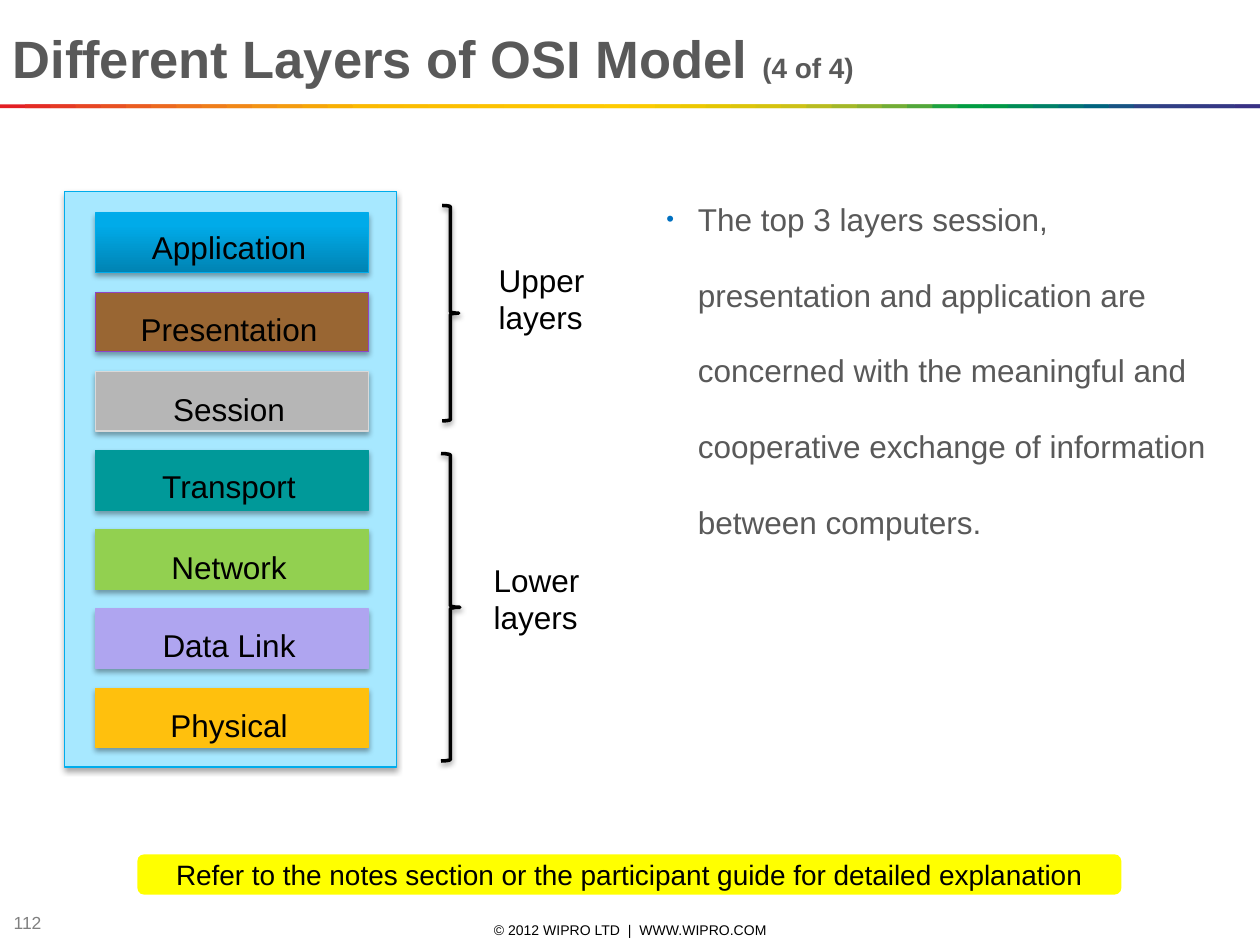
from dataclasses import dataclass

from lxml.etree import SubElement
from pptx import Presentation
from pptx.dml.color import RGBColor
from pptx.enum.shapes import MSO_SHAPE as Shape
from pptx.enum.text import MSO_ANCHOR as Anchor, MSO_AUTO_SIZE as AutoSize, PP_ALIGN as Align
from pptx.oxml.ns import qn
from pptx.util import Pt

FONT = "Arial"
BLACK, DARK_GREY, GREY = "000000", "595959", "808080"
SLIDE_W, SLIDE_H = 720, 540

RAINBOW = """
E31E24 E42C24 E53A24 E74623 E85122 EA5D21 EC691F EE741D EF7E1A F18817
F39314 F49C0F F6A607 F8B002 FBBA00 FBBB00 FBBD00 FCBF00 FCC000 FCC200
FDC400 FDC600 FDC700 FEC900 FECB00 FBCB00 F3CA00 ECC800 E4C602 DCC50A
D5C30E CCC117 B8BC21 A3B829 8CB230 71AD36 51A73B 1DA240 009D43 009846
008C57 008068 007275 00637F 185384 2E4285 313E85 333B85 353885 393185
""".split()


@dataclass
class Box:
    left: float
    top: float
    width: float
    height: float

    def lengths(self) -> tuple:
        return Pt(self.left), Pt(self.top), Pt(self.width), Pt(self.height)


@dataclass
class Layer:
    name: str
    fill: str
    line: str
    text_drop: float  # from the top of the bar to the top of its label


@dataclass
class LayerGroup:
    name: str
    brace: Box
    label: Box


LAYERS = [
    Layer("Application", "00ABE9", "00ACEB", 5),
    Layer("Presentation", "996633", "8F45C7", 6.5),
    Layer("Session", "B6B6B6", "D9D9D9", 7),
    Layer("Transport", "009999", "009999", 6),
    Layer("Network", "92D050", "92D050", 7),
    Layer("Data Link", "AFA5F0", "AFA5F0", 6),
    Layer("Physical", "FFC00D", "FFC00D", 6.5),
]
BAR = Box(54.5, 121.75, 156, 34)
BAR_PITCH = 45.25

GROUPS = [
    LayerGroup("Upper\nlayers", Box(252.7, 117.4, 9.4, 123.1), Box(277.9, 145.4, 67.7, 51.1)),
    LayerGroup("Lower\nlayers", Box(252, 259.2, 10.8, 175.7), Box(275, 316.8, 67.7, 51.1)),
]


def rgb(color: str) -> RGBColor:
    return RGBColor.from_string(color)


def style_font(font, size: float, color: str, bold: bool = False) -> None:
    font.name, font.size, font.bold = FONT, Pt(size), bold
    font.color.rgb = rgb(color)


def write(tf, text: str, size: float, color: str = BLACK, align=Align.LEFT, anchor=Anchor.TOP) -> None:
    tf.word_wrap = True
    tf.vertical_anchor = anchor
    tf.text = text
    for p in tf.paragraphs:
        p.alignment = align
        for r in p.runs:
            style_font(r.font, size, color)


def add_text(slide, box: Box, text: str, size: float, **style):
    sp = slide.shapes.add_textbox(*box.lengths())
    write(sp.text_frame, text, size, **style)
    return sp


def add_shape(slide, kind, box: Box, fill: str = "", line: str = "", weight: float = 0.75):
    sp = slide.shapes.add_shape(kind, *box.lengths())
    sp.shadow.inherit = False
    if fill:
        sp.fill.solid()
        sp.fill.fore_color.rgb = rgb(fill)
    else:
        sp.fill.background()
    if line:
        sp.line.color.rgb = rgb(line)
        sp.line.width = Pt(weight)
    else:
        sp.line.fill.background()
    return sp


def add_shadow(sp, distance: float = 1.8, opacity: int = 35) -> None:
    """Drop a soft black shadow straight down."""
    effects = sp._element.spPr.find(qn("a:effectLst"))
    shadow = SubElement(effects, qn("a:outerShdw"), blurRad=str(Pt(3.1)),
                        dist=str(Pt(distance)), dir="5400000", rotWithShape="0")
    color = SubElement(shadow, qn("a:srgbClr"), val=BLACK)
    SubElement(color, qn("a:alpha"), val=str(opacity * 1000))


def shade_upwards(sp, bottom: str, top: str) -> None:
    sp.fill.gradient()
    sp.fill.gradient_angle = 90
    for stop, color, position in zip(sp.fill.gradient_stops, (bottom, top), (0, 0.8)):
        stop.color.rgb = rgb(color)
        stop.position = position


def add_title(slide) -> None:
    title = slide.shapes.title
    title.left, title.top, title.width, title.height = Box(0, 10.8, SLIDE_W, 43.9).lengths()
    tf = title.text_frame
    tf.auto_size = AutoSize.NONE
    tf.vertical_anchor = Anchor.BOTTOM
    p = tf.paragraphs[0]
    p.alignment = Align.LEFT
    for text, size in (("Different Layers of OSI Model ", 30), ("(4 of 4)", 16)):
        r = p.add_run()
        r.text = text
        style_font(r.font, size, DARK_GREY, bold=True)


def add_rainbow(slide) -> None:
    """Draw overlapping strips, each covering half of the one before."""
    step = SLIDE_W / len(RAINBOW)
    for i, color in enumerate(RAINBOW):
        left = i * step
        width = min(2 * step, SLIDE_W - left)
        add_shape(slide, Shape.RECTANGLE, Box(left, 59.6, width, 2.2), color)


def add_layers(slide) -> None:
    panel = add_shape(slide, Shape.RECTANGLE, Box(36.7, 109.4, 190.1, 329), "A7E8FF", "00ACEB")
    add_shadow(panel)
    for i, layer in enumerate(LAYERS):
        top = BAR.top + i * BAR_PITCH
        bar = add_shape(slide, Shape.RECTANGLE, Box(BAR.left, top, BAR.width, BAR.height),
                        layer.fill, layer.line)
        add_shadow(bar)
        if i == 0:
            shade_upwards(bar, "0083B3", layer.fill)
        add_text(slide, Box(65, top + layer.text_drop, 131.8, 21.6), layer.name, 18,
                 align=Align.CENTER)


def add_group(slide, group: LayerGroup) -> None:
    brace = add_shape(slide, Shape.RIGHT_BRACE, group.brace, line=BLACK, weight=2)
    add_shadow(brace, 1.6, 38)
    add_text(slide, group.label, group.name, 18)


def add_explanation(slide) -> None:
    sp = add_text(slide, Box(373.7, 89.3, 334.8, 361.4),
                  "The top 3 layers session, presentation and application are concerned with "
                  "the meaningful and cooperative exchange of information between computers.",
                  18, color=DARK_GREY)
    p = sp.text_frame.paragraphs[0]
    p.line_spacing = 2.0
    pPr = p._p.get_or_add_pPr()
    pPr.set("marL", str(Pt(18)))
    pPr.set("indent", str(-Pt(18)))
    SubElement(SubElement(pPr, qn("a:buClr")), qn("a:srgbClr"), val="0070C0")
    SubElement(pPr, qn("a:buSzPct"), val="70000")
    SubElement(pPr, qn("a:buFont"), typeface=FONT)
    SubElement(pPr, qn("a:buChar"), char="•")


def main() -> None:
    prs = Presentation()
    prs.slide_width, prs.slide_height = Pt(SLIDE_W), Pt(SLIDE_H)
    slide = prs.slides.add_slide(prs.slide_layouts[5])

    add_text(slide, Box(246.2, 525.6, 228.2, 11.5), "© 2012 WIPRO LTD  |  WWW.WIPRO.COM", 8,
             align=Align.CENTER, anchor=Anchor.MIDDLE)
    add_text(slide, Box(0.7, 519.8, 54, 15.1), "112", 10, color=GREY, anchor=Anchor.MIDDLE)
    add_rainbow(slide)
    add_title(slide)
    add_explanation(slide)
    add_layers(slide)
    for group in GROUPS:
        add_group(slide, group)

    callout = add_shape(slide, Shape.ROUNDED_RECTANGLE, Box(78.5, 488.2, 562.3, 23), "FFFF00")
    write(callout.text_frame,
          "Refer to the notes section or the participant guide for detailed explanation",
          16, align=Align.CENTER, anchor=Anchor.MIDDLE)

    prs.save("out.pptx")


if __name__ == "__main__":
    main()
